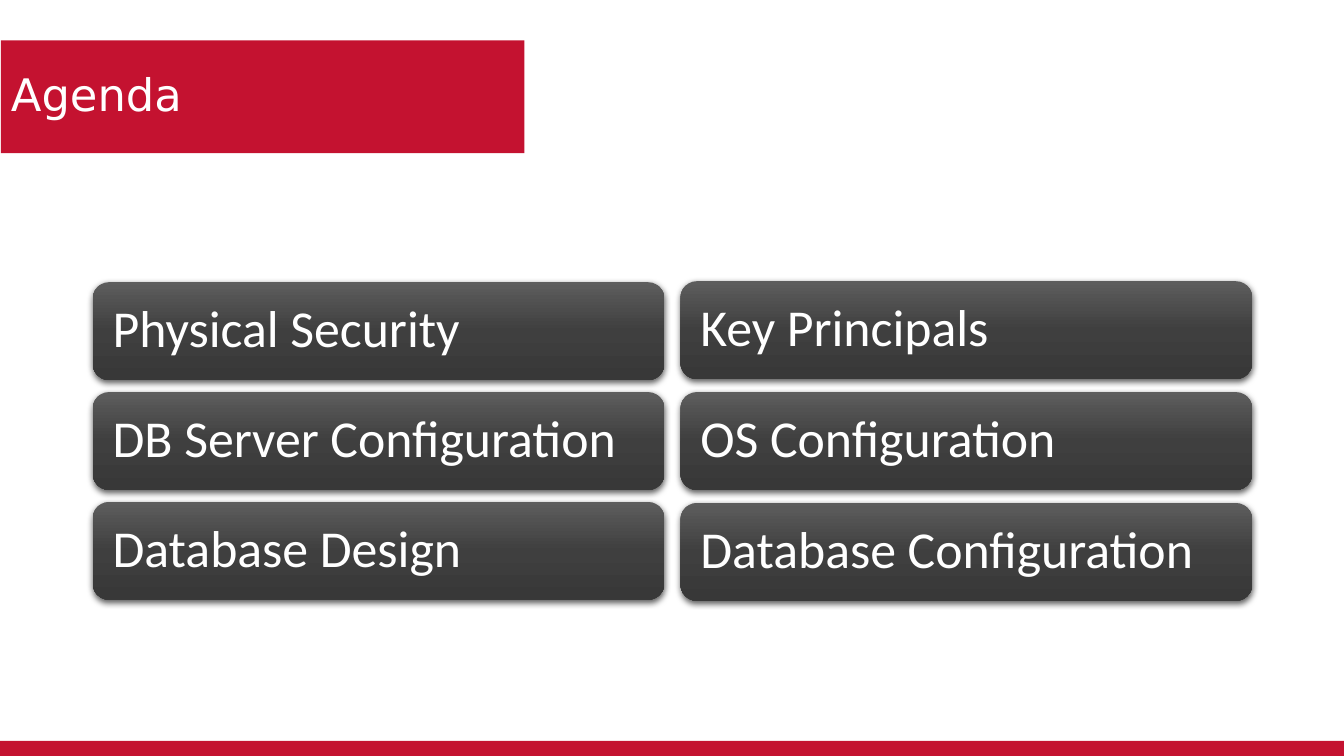
from dataclasses import dataclass

from pptx import Presentation
from pptx.dml.color import RGBColor
from pptx.enum.shapes import MSO_SHAPE
from pptx.enum.text import MSO_ANCHOR, PP_ALIGN
from pptx.oxml import parse_xml
from pptx.oxml.ns import nsdecls
from pptx.shapes.autoshape import Shape
from pptx.slide import Slide
from pptx.util import Inches, Pt

RECTANGLE = MSO_SHAPE.RECTANGLE
ROUNDED = MSO_SHAPE.ROUNDED_RECTANGLE
MIDDLE = MSO_ANCHOR.MIDDLE
LEFT = PP_ALIGN.LEFT


@dataclass(frozen=True)
class Theme:
    red: str = "C41230"
    white: str = "FFFFFF"
    card_stops: tuple[tuple[int, str], ...] = ((0, "5D5D5D"), (50, "3F3F3F"), (100, "383838"))
    shadow: str = "000000"
    title_font: str = "DejaVu Sans"
    card_font: str = "Calibri"
    title_size: int = 32
    card_size: int = 37


@dataclass(frozen=True)
class Column:
    left: float
    top: float
    pitch: float
    topics: tuple[str, ...]


THEME = Theme()
CARD_WIDTH, CARD_HEIGHT = 5.67, 0.97
COLUMNS = (
    Column(0.92, 2.8, 1.09, ("Physical Security", "DB Server Configuration", "Database Design")),
    Column(6.75, 2.79, 1.1, ("Key Principals", "OS Configuration", "Database Configuration")),
)


def add_band(page: Slide, left: float, top: float, width: float, height: float) -> Shape:
    """Add a flat red rectangle."""
    band = page.shapes.add_shape(RECTANGLE, Inches(left), Inches(top), Inches(width), Inches(height))
    band.shadow.inherit = False
    band.fill.solid()
    band.fill.fore_color.rgb = RGBColor.from_string(THEME.red)
    band.line.fill.background()
    return band


def write(shape: Shape, text: str, font: str, size: int, inset: float) -> None:
    """Put white, left-aligned, vertically centred text into a shape."""
    frame = shape.text_frame
    frame.text = text
    frame.word_wrap = True
    frame.vertical_anchor = MIDDLE
    frame.margin_left = frame.margin_right = Inches(inset)
    frame.margin_top = frame.margin_bottom = Inches(min(inset, 0.15))
    para = frame.paragraphs[0]
    para.alignment = LEFT
    para.line_spacing = 0.9
    span = para.runs[0]
    span.font.name = font
    span.font.size = Pt(size)
    span.font.color.rgb = RGBColor.from_string(THEME.white)


def add_card(page: Slide, left: float, top: float, topic: str) -> None:
    card = page.shapes.add_shape(
        ROUNDED, Inches(left), Inches(top), Inches(CARD_WIDTH), Inches(CARD_HEIGHT))
    stops = "".join(
        f'<a:gs pos="{position * 1000}"><a:srgbClr val="{color}"/></a:gs>'
        for position, color in THEME.card_stops)
    properties = card.element.spPr
    properties.append(parse_xml(
        f'<a:gradFill {nsdecls("a")} rotWithShape="1"><a:gsLst>{stops}</a:gsLst>'
        '<a:lin ang="5400000" scaled="0"/></a:gradFill>'))
    card.line.fill.background()
    properties.append(parse_xml(
        f'<a:effectLst {nsdecls("a")}><a:outerShdw blurRad="{Pt(4.5)}" dist="{Pt(1.5)}" '
        f'dir="5400000" algn="ctr" rotWithShape="0"><a:srgbClr val="{THEME.shadow}">'
        '<a:alpha val="63000"/></a:srgbClr></a:outerShdw></a:effectLst>'))
    write(card, topic, THEME.card_font, THEME.card_size, 0.15)


def main() -> None:
    deck = Presentation()
    deck.slide_width, deck.slide_height = Inches(13.33), Inches(7.5)
    page = deck.slides.add_slide(deck.slide_layouts[6])
    add_band(page, 0, 7.35, 13.33, 0.15)
    title = add_band(page, 0.01, 0.4, 5.19, 1.12)
    write(title, "Agenda", THEME.title_font, THEME.title_size, 0.1)
    for column in COLUMNS:
        for row, topic in enumerate(column.topics):
            add_card(page, column.left, column.top + row * column.pitch, topic)
    deck.save("out.pptx")


if __name__ == "__main__":
    main()
